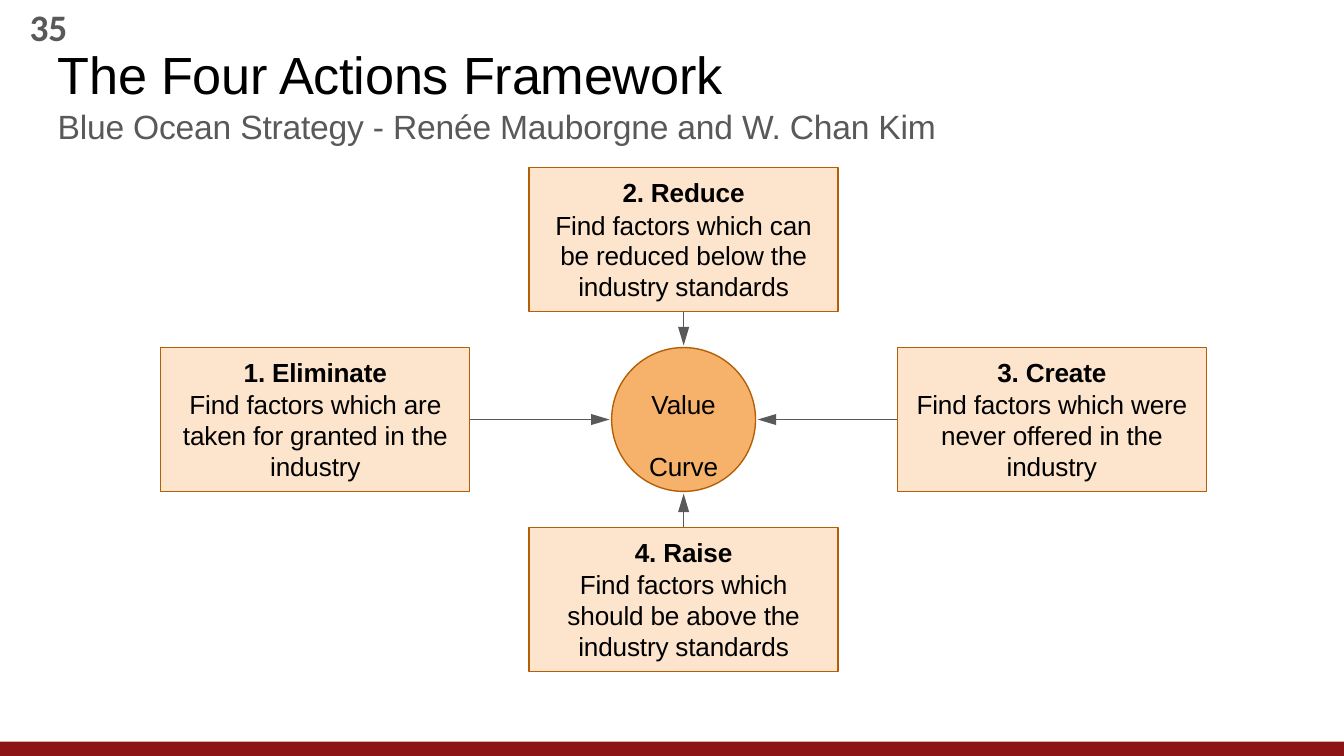
"""Build the Four Actions Framework slide around a central value curve."""
from lxml.etree import SubElement
from pptx import Presentation
from pptx.dml.color import RGBColor
from pptx.enum.shapes import MSO_CONNECTOR, MSO_SHAPE
from pptx.enum.text import MSO_ANCHOR, MSO_AUTO_SIZE, PP_ALIGN
from pptx.oxml.ns import qn
from pptx.util import Cm, Pt

BLACK = RGBColor(0x00, 0x00, 0x00)
GREY = RGBColor(0x59, 0x59, 0x59)
DARK_RED = RGBColor(0x8C, 0x14, 0x14)
BROWN = RGBColor(0xB4, 0x5F, 0x06)
PEACH = RGBColor(0xFC, 0xE4, 0xCD)
ORANGE = RGBColor(0xF6, 0xB2, 0x6B)


def write_text(shape, text, size=14, color=BLACK, font="Arial", bold=False,
               align=PP_ALIGN.CENTER, line_spacing=None, before=0, inset=0.03):
    frame = shape.text_frame
    frame.word_wrap = True
    frame.auto_size = MSO_AUTO_SIZE.NONE
    frame.vertical_anchor = MSO_ANCHOR.TOP
    frame.margin_left = frame.margin_right = frame.margin_bottom = 0
    frame.margin_top = Cm(inset)
    paragraph = frame.add_paragraph() if frame.text else frame.paragraphs[0]
    paragraph.text = text
    paragraph.alignment = align
    paragraph.space_before = Pt(before)
    if line_spacing:
        paragraph.line_spacing = Pt(line_spacing)
    for run in paragraph.runs:
        run.font.name = font
        run.font.size = Pt(size)
        run.font.bold = bold
        run.font.color.rgb = color
        run.font._element.set("spc", "-10")


def add_filled_shape(kind, left, top, width, height, fill, line=None):
    shape = slide.shapes.add_shape(kind, Cm(left), Cm(top), Cm(width), Cm(height))
    shape.shadow.inherit = False
    shape.fill.solid()
    shape.fill.fore_color.rgb = fill
    if line is None:
        shape.line.fill.background()
    else:
        shape.line.color.rgb = line
        shape.line.width = Pt(0.75)
    return shape


presentation = Presentation()
presentation.slide_width = Cm(25.4)
presentation.slide_height = Cm(14.29)
slide = presentation.slides.add_slide(presentation.slide_layouts[0])

add_filled_shape(MSO_SHAPE.RECTANGLE, 0, 14.02, 25.4, 0.27, DARK_RED)

title, subtitle = slide.placeholders
headings = [
    (title, "The Four Actions Framework", 0.76, 1.24, 28, BLACK),
    (subtitle, "Blue Ocean Strategy - Renée Mauborgne and W. Chan Kim", 1.98, 0.84, 18, GREY),
]
for placeholder, text, top, height, size, color in headings:
    placeholder.left, placeholder.top = Cm(1.09), Cm(top)
    placeholder.width, placeholder.height = Cm(18), Cm(height)
    write_text(placeholder, text, size=size, color=color, align=PP_ALIGN.LEFT)

center_x, center_y = 12.92, 7.93
box_width, box_height = 5.84, 2.72
step_x, step_y = 6.96, 3.4
radius, tip_gap = 1.36, 0.04

actions = [
    (0, -1, "2. Reduce", "Find factors which can\vbe reduced below the\vindustry standards"),
    (1, 0, "3. Create", "Find factors which were\vnever offered in the\vindustry"),
    (0, 1, "4. Raise", "Find factors which\vshould be above the\vindustry standards"),
    (-1, 0, "1. Eliminate", "Find factors which are\vtaken for granted in the\vindustry"),
]
for across, down, name, description in actions:
    box = add_filled_shape(
        MSO_SHAPE.RECTANGLE,
        center_x + across * step_x - box_width / 2,
        center_y + down * step_y - box_height / 2,
        box_width, box_height, PEACH, BROWN)
    write_text(box, name, bold=True, line_spacing=16.6, inset=0.18)
    write_text(box, description, line_spacing=16.5, before=0.7, inset=0.18)

    arrow = slide.shapes.add_connector(
        MSO_CONNECTOR.STRAIGHT,
        Cm(center_x + across * (step_x - box_width / 2)),
        Cm(center_y + down * (step_y - box_height / 2)),
        Cm(center_x + across * (radius + tip_gap)),
        Cm(center_y + down * (radius + tip_gap)))
    arrow.line.color.rgb = GREY
    arrow.line.width = Pt(0.75)
    SubElement(arrow.line._get_or_add_ln(), qn("a:tailEnd"), type="triangle", w="med", len="lg")
    SubElement(arrow._element.spPr, qn("a:effectLst"))

add_filled_shape(MSO_SHAPE.OVAL, center_x - radius, center_y - radius,
                 2 * radius, 2 * radius, ORANGE, BROWN)
curve_label = slide.shapes.add_textbox(Cm(center_x - 1.2), Cm(6.74), Cm(2.4), Cm(2.4))
write_text(curve_label, "Value\vCurve", line_spacing=33)

page_number = slide.shapes.add_textbox(Cm(0.56), Cm(0.05), Cm(0.9), Cm(0.91))
write_text(page_number, "35", size=20, color=GREY, font="Calibri", bold=True, align=PP_ALIGN.LEFT)

presentation.save("out.pptx")
